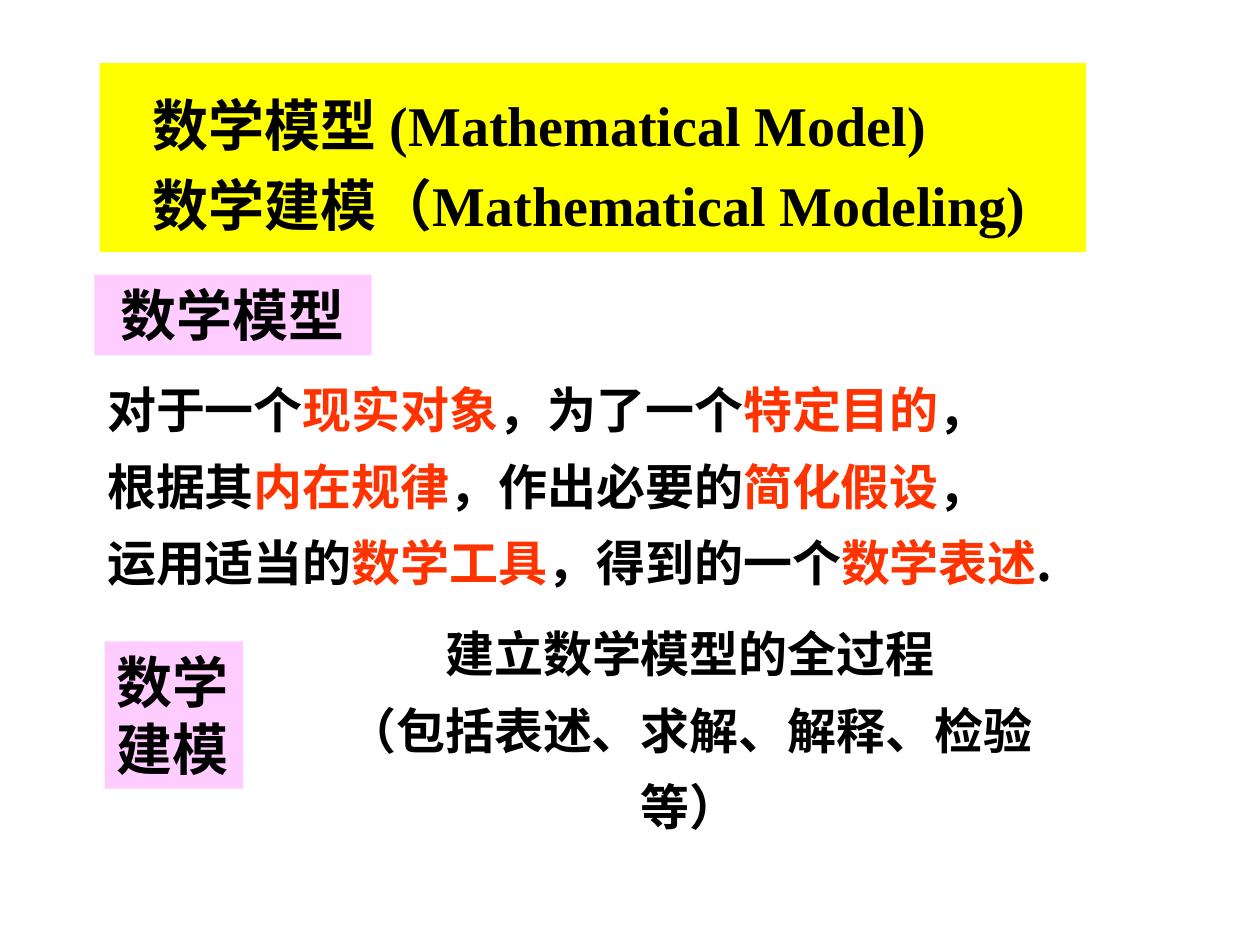
from pptx import Presentation
from pptx.dml.color import RGBColor
from pptx.enum.shapes import MSO_SHAPE
from pptx.enum.text import MSO_ANCHOR, MSO_AUTO_SIZE, PP_ALIGN
from pptx.util import Inches, Pt
from lxml.etree import SubElement
from pptx.oxml.ns import qn

BLACK = RGBColor(0, 0, 0)
RED = RGBColor(0xFF, 0x33, 0)
YELLOW = RGBColor(0xFF, 0xFF, 0)
PINK = RGBColor(0xFF, 0xCC, 0xFF)
SERIF = "Times New Roman"
SANS = "Noto Sans CJK SC"


def place(shape, left, top, width, height, fill=None):
    shape.left, shape.top = Inches(left), Inches(top)
    shape.width, shape.height = Inches(width), Inches(height)
    if fill is not None:
        shape.fill.solid()
        shape.fill.fore_color.rgb = fill


def write(shape, lines, size, font, gap=1.0, align=PP_ALIGN.LEFT,
          anchor=MSO_ANCHOR.MIDDLE):
    """Fill the shape with lines of runs; every second run is red."""
    frame = shape.text_frame
    frame.word_wrap = True
    frame.auto_size = MSO_AUTO_SIZE.NONE
    frame.vertical_anchor = anchor
    for i, line in enumerate(lines):
        para = frame.add_paragraph() if i else frame.paragraphs[0]
        para.alignment = align
        para.line_spacing = gap
        para.space_before = Pt(0)
        for j, text in enumerate(line):
            run = para.add_run()
            run.text = text
            run.font.size = Pt(size)
            run.font.bold = True
            run.font.color.rgb = RED if j % 2 else BLACK
            run.font.name = font
            SubElement(run.font._element, qn("a:ea"), typeface=SANS)


deck = Presentation()
deck.slide_width, deck.slide_height = Inches(10), Inches(7.5)
slide = deck.slides.add_slide(deck.slide_layouts[1])

# Heading band
title = slide.shapes.title
place(title, 0.79, 0.5, 7.83, 1.5, YELLOW)
write(title, [["数学模型 (Mathematical Model)"],
              ["数学建模（Mathematical Modeling)"]], 32, SERIF, 1.2)
title.text_frame.margin_left = Inches(0.42)

# Definition of a model
body = slide.placeholders[1]
place(body, 0.75, 2.88, 7.95, 1.81)
write(body, [
    ["对于一个", "现实对象", "，为了一个", "特定目的", "，"],
    ["根据其", "内在规律", "，作出必要的", "简化假设", "，"],
    ["运用适当的", "数学工具", "，得到的一个", "数学表述", "."],
], 28, SANS, 1.3)
for para in body.text_frame.paragraphs:
    props = para._p.get_or_add_pPr()
    props.set("marL", "0")
    props.set("indent", "0")
    SubElement(props, qn("a:buNone"))

# Meaning of modeling
note = slide.shapes.add_textbox(0, 0, 0, 0)
place(note, 2.32, 5.01, 6.31, 1.42)
write(note, [["建立数学模型的全过程"], ["（包括表述、求解、解释、检验等）"]],
      28, SERIF, 1.3, PP_ALIGN.CENTER)

# Pink labels
for text, box, align in [
    ("数学模型", (0.75, 2.18, 2.2, 0.64), PP_ALIGN.CENTER),
    ("数学建模", (0.83, 5.09, 1.1, 1.17), PP_ALIGN.LEFT),
]:
    label = slide.shapes.add_shape(MSO_SHAPE.RECTANGLE, 0, 0, 0, 0)
    place(label, *box, PINK)
    label.line.fill.background()
    label.shadow.inherit = False
    write(label, [[text]], 32, SERIF, align=align, anchor=MSO_ANCHOR.TOP)

deck.save("out.pptx")
